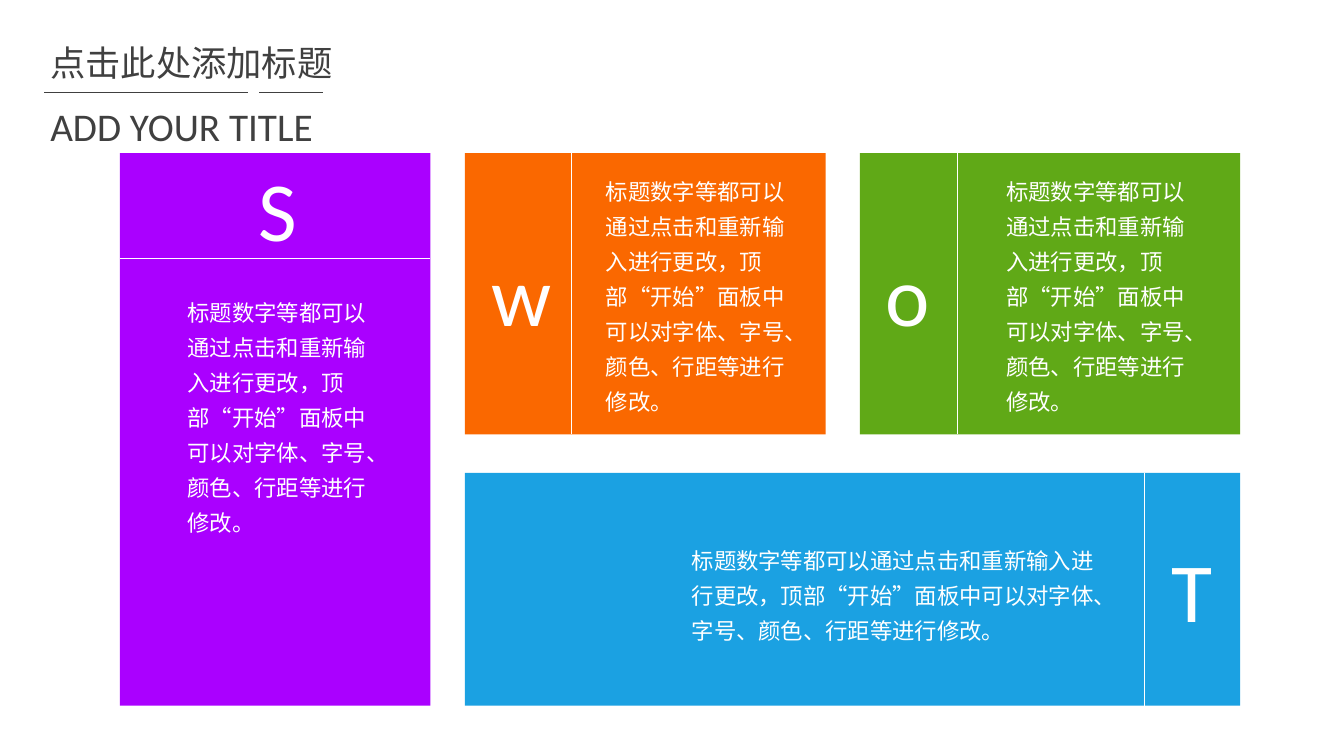
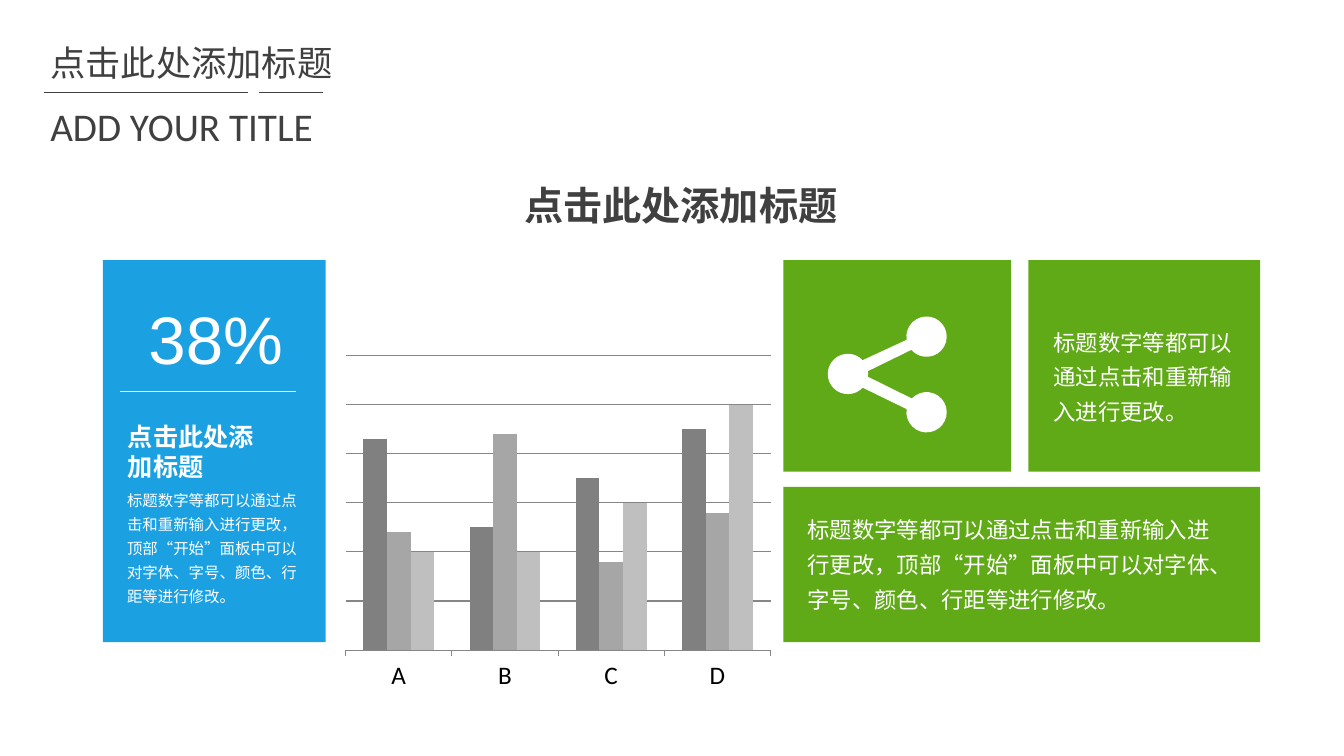
from math import cos, radians, sin

from lxml import etree
from pptx import Presentation
from pptx.chart.data import CategoryChartData
from pptx.dml.color import RGBColor
from pptx.enum.chart import XL_CHART_TYPE, XL_TICK_MARK
from pptx.enum.shapes import MSO_CONNECTOR, MSO_SHAPE
from pptx.enum.text import MSO_ANCHOR, PP_ALIGN
from pptx.oxml.ns import qn
from pptx.util import Inches, Pt

STRAIGHT = MSO_CONNECTOR.STRAIGHT
RECTANGLE = MSO_SHAPE.RECTANGLE
COLUMNS = XL_CHART_TYPE.COLUMN_CLUSTERED
TICK_OUT = XL_TICK_MARK.OUTSIDE
TOP, MIDDLE = MSO_ANCHOR.TOP, MSO_ANCHOR.MIDDLE
LEFT, CENTER = PP_ALIGN.LEFT, PP_ALIGN.CENTER

WHITE = RGBColor(0xFF, 0xFF, 0xFF)
BLACK = RGBColor(0, 0, 0)
INK = RGBColor(0x40, 0x40, 0x40)
PURPLE = RGBColor(0xAA, 0x00, 0xFF)
BLUE = RGBColor(0x1B, 0xA1, 0xE2)
ORANGE = RGBColor(0xFA, 0x68, 0x00)
GREEN = RGBColor(0x60, 0xA9, 0x17)
GRID_GRAY = RGBColor(0x86, 0x86, 0x86)
SERIES_GRAYS = [RGBColor(v, v, v) for v in (0x80, 0xA6, 0xBF)]

CJK = "Noto Sans CJK SC"
LATIN = "Calibri"
DIGITS = "Arial"
NORMAL_INSETS = (0.1, 0.05)
BODY_INSETS = (0.07, 0.04)

TITLE = "点击此处添加标题"
SHORT_BODY = "标题数字等都可以通过点击和重新输入进行更改。"
BODY = ("标题数字等都可以通过点击和重新输入进行更改，"
        "顶部“开始”面板中可以对字体、字号、颜色、行距等进行修改。")


def inside(box, left, top, width, height):
    """Turn a box relative to another box into slide coordinates."""
    return box[0] + left, box[1] + top, width, height


def add_text(slide, box, content, *, size, font=CJK, color=WHITE, bold=False,
             align=LEFT, anchor=TOP, spacing=None, insets=NORMAL_INSETS, wrap=True):
    frame = slide.shapes.add_textbox(*map(Inches, box)).text_frame
    frame.word_wrap = wrap
    frame.vertical_anchor = anchor
    frame.margin_left = frame.margin_right = Inches(insets[0])
    frame.margin_top = frame.margin_bottom = Inches(insets[1])
    paragraph = frame.paragraphs[0]
    paragraph.alignment = align
    if spacing:
        paragraph.line_spacing = spacing
    run = paragraph.add_run()
    run.text = content
    run.font.size = Pt(size)
    run.font.bold = bold
    run.font.color.rgb = color
    run.font.name = font
    if font == CJK:
        properties = run.font._element
        properties.set("lang", "zh-CN")
        latin = properties.find(qn("a:latin"))
        east_asian = etree.Element(qn("a:ea"), typeface=font)
        latin.addnext(east_asian)


def add_body(slide, box, content=BODY, size=16):
    add_text(slide, box, content, size=size, spacing=1.3, insets=BODY_INSETS)


def add_rule(slide, start, end, color=WHITE):
    rule = slide.shapes.add_connector(STRAIGHT, *map(Inches, (*start, *end)))
    rule.line.color.rgb = color
    rule.line.width = Pt(0.5)
    etree.SubElement(rule._element.spPr, qn("a:effectLst"))


def paint(shape, color):
    shape.shadow.inherit = False
    shape.fill.solid()
    shape.fill.fore_color.rgb = color
    shape.line.fill.background()


def add_tile(slide, box, color):
    paint(slide.shapes.add_shape(RECTANGLE, *map(Inches, box)), color)


def add_titled_slide(deck):
    slide = deck.slides.add_slide(deck.slide_layouts[6])
    for start, end in ((0.44, 2.46), (2.57, 3.2)):
        add_rule(slide, (start, 0.92), (end, 0.92), INK)
    add_text(slide, (0.4, 0.4, 5.95, 0.52), TITLE, size=25.2, color=INK,
             anchor=MIDDLE, spacing=0.8)
    add_text(slide, (0.4, 1.02, 2.98, 0.41), "ADD YOUR TITLE", size=28,
             font=LATIN, color=INK, spacing=0.9)
    return slide


def add_swot_panel(slide, box, color, letter, letter_at, body_box, *,
                   divider, horizontal=False):
    """Draw a tile with a letter, split from its body text at the divider offset."""
    left, top, width, height = box
    add_tile(slide, box, color)
    if horizontal:
        y = top + divider
        add_rule(slide, (left, y), (left + width, y))
    else:
        x = left + divider
        add_rule(slide, (x, top), (x, top + height))
    add_text(slide, inside(box, *letter_at, 0.78, 1.11), letter, size=60, font=LATIN)
    add_body(slide, inside(box, *body_box))


def build_swot_slide(deck):
    slide = add_titled_slide(deck)
    add_swot_panel(slide, (1.19, 1.52, 3.08, 5.48), PURPLE, "S", (1.28, -0.01),
                   (0.6, 1.33, 2.12, 2.53), divider=1.04, horizontal=True)
    add_swot_panel(slide, (4.61, 1.52, 3.58, 2.79), ORANGE, "w", (0.17, 0.84),
                   (1.33, 0.13, 2.12, 2.53), divider=1.06)
    add_swot_panel(slide, (8.53, 1.52, 3.77, 2.79), GREEN, "o", (0.15, 0.84),
                   (1.38, 0.13, 2.12, 2.53), divider=0.97)
    add_swot_panel(slide, (4.61, 4.69, 7.69, 2.31), BLUE, "T", (6.91, 0.6),
                   (2.18, 0.62, 4.22, 1.13), divider=6.74)


def add_percent_card(slide, box):
    add_tile(slide, box, BLUE)
    add_text(slide, inside(box, 0.23, 0.32, 1.78, 0.91), "38%", size=48,
             font=DIGITS, align=CENTER)
    x, y = box[0] + 0.17, box[1] + 1.3
    add_rule(slide, (x, y), (x + 1.75, y))
    add_text(slide, inside(box, 0.15, 1.55, 1.51, 0.71), TITLE, size=18, bold=True)
    add_body(slide, inside(box, 0.17, 2.2, 1.9, 1.28), size=11)


def add_column_chart(slide, box):
    data = CategoryChartData()
    data.categories = ["A", "B", "C", "D"]
    data.add_series("Series 1", (86, 50, 70, 90))
    data.add_series("Series 2", (48, 88, 36, 56))
    data.add_series("Series 3", (40, 40, 60, 100))
    chart = slide.shapes.add_chart(COLUMNS, *map(Inches, box), data).chart
    chart.has_legend = False
    chart.has_title = False
    chart.font.name = LATIN
    chart.font.size = Pt(18)
    chart.font.color.rgb = BLACK

    plot = chart.plots[0]
    plot.gap_width = 150
    plot.overlap = 0
    plot.vary_by_categories = False
    for series, color in zip(plot.series, SERIES_GRAYS):
        series.format.fill.solid()
        series.format.fill.fore_color.rgb = color

    values = chart.value_axis
    values.minimum_scale, values.maximum_scale, values.major_unit = 0, 120, 20
    values.visible = False
    values.has_major_gridlines = True
    categories = chart.category_axis
    categories.major_tick_mark = TICK_OUT
    for line in (values.major_gridlines.format.line, categories.format.line):
        line.color.rgb = GRID_GRAY
        line.width = Pt(0.75)


def add_share_icon(slide, left, top):
    """Outline three joined dots as arcs, each given by centre and end angles."""
    radius, step_count = 0.2, 24
    hub, upper, lower = (0.2, 0.57), (0.98, 0.2), (0.98, 0.95)
    arcs = [(upper, 139, -189), (hub, -43, -317), (lower, 189, -137), (hub, 8, -8)]
    points = []
    for (x, y), start, end in arcs:
        for step in range(step_count + 1):
            angle = radians(start + (end - start) * step / step_count)
            points.append((Inches(left + x + radius * cos(angle)),
                           Inches(top + y + radius * sin(angle))))
    outline = slide.shapes.build_freeform(*points[0])
    outline.add_line_segments(points[1:], close=True)
    paint(outline.convert_to_shape(), WHITE)


def add_share_tiles(slide, left, top):
    icon_box = (left, top, 2.26, 2.1)
    short_box = (left + 2.43, top, 2.3, 2.1)
    long_box = (left, top + 2.25, 4.73, 1.54)
    for box in (icon_box, short_box, long_box):
        add_tile(slide, box, GREEN)
    add_share_icon(slide, left + 0.44, top + 0.56)
    add_body(slide, inside(short_box, 0.18, 0.56, 2.12, 1.09), SHORT_BODY)
    add_body(slide, inside(long_box, 0.17, 0.17, 4.31, 1.13))


def build_chart_slide(deck):
    slide = add_titled_slide(deck)
    add_text(slide, (5.1, 1.75, 3.34, 0.57), TITLE, size=28, color=INK,
             bold=True, wrap=False)
    add_percent_card(slide, (1.02, 2.58, 2.21, 3.79))
    add_column_chart(slide, (3.34, 3.46, 4.39, 3.46))
    add_share_tiles(slide, 7.77, 2.58)


def main():
    deck = Presentation()
    deck.slide_width, deck.slide_height = Inches(13.33), Inches(7.5)
    build_swot_slide(deck)
    build_chart_slide(deck)
    deck.save("out.pptx")


if __name__ == "__main__":
    main()
